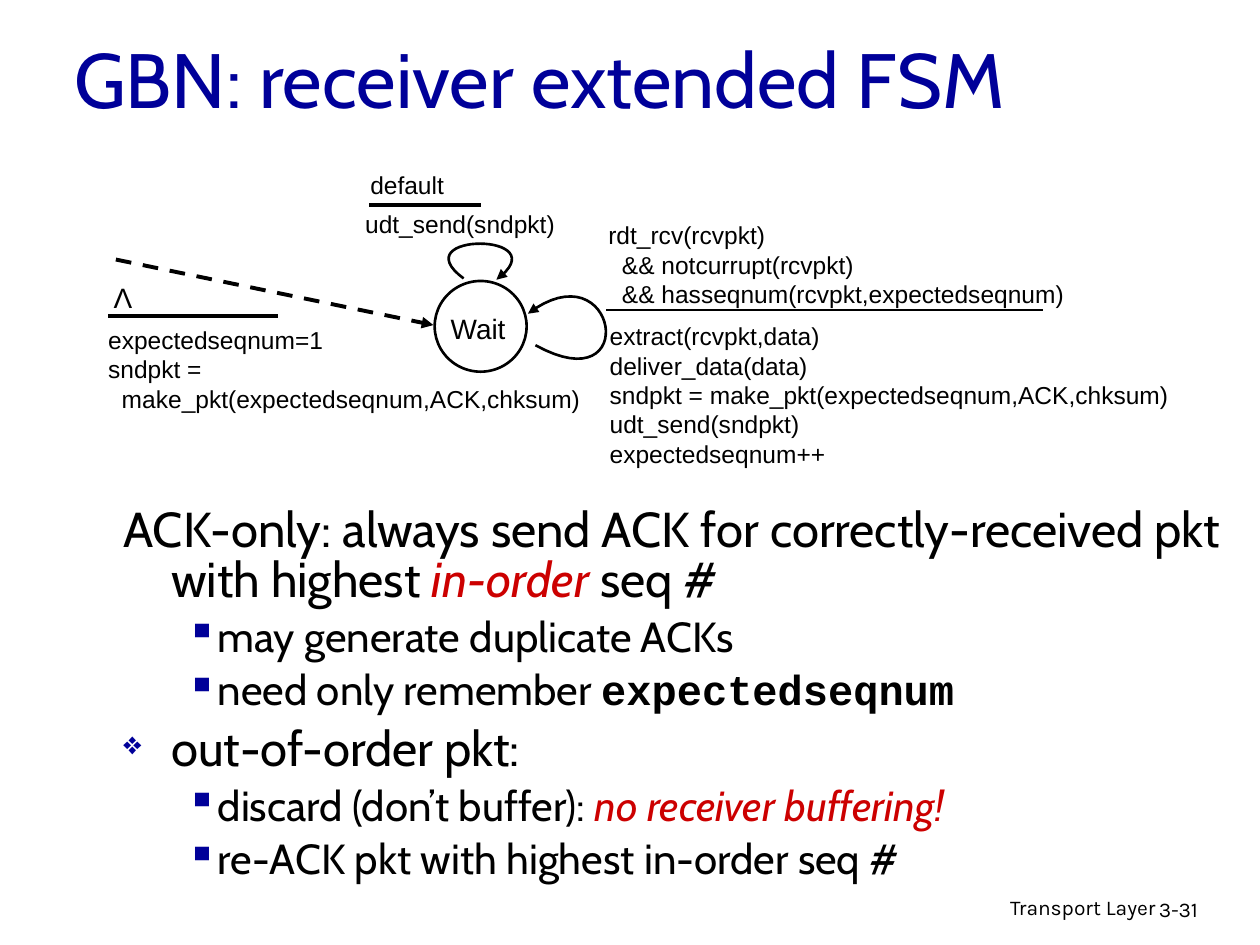
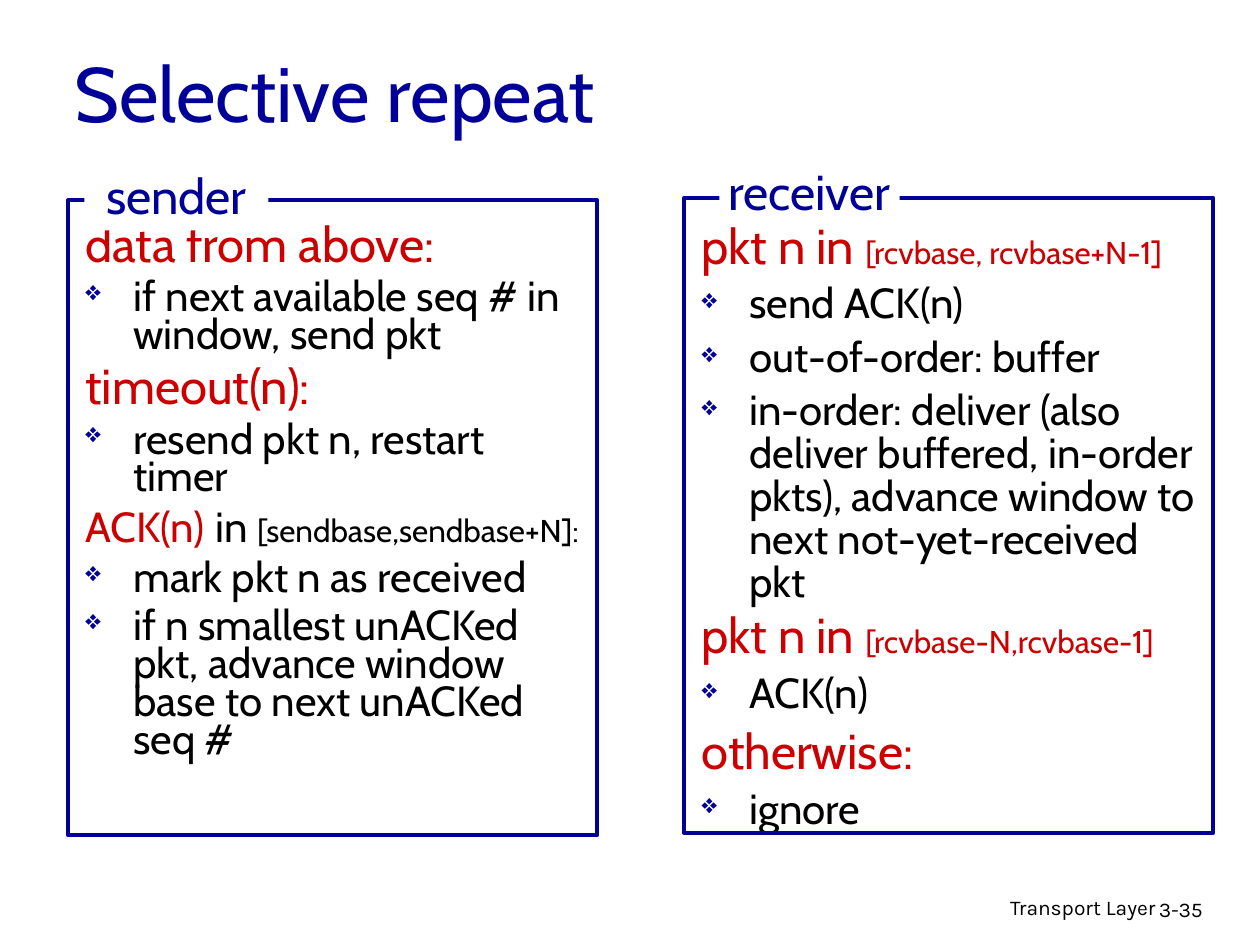
from lxml import etree
from pptx import Presentation
from pptx.dml.color import RGBColor
from pptx.enum import dml, shapes, text
from pptx.oxml.ns import qn
from pptx.util import Inches, Pt

NAVY = RGBColor(0x00, 0x00, 0x99)
RED = RGBColor(0xCC, 0x00, 0x00)
BLACK = RGBColor(0x00, 0x00, 0x00)
WHITE = RGBColor(0xFF, 0xFF, 0xFF)
BODY_FONT, LABEL_FONT, FOOTER_FONT, CODE_FONT = "Cabin", "Arial", "Karla", "Courier New"

# Paragraph styles: size, space before, left margin, hanging indent, bullet, bullet size %
STYLES = {
    "head": dict(size=28, before=7, margin=0.38, hang=0.38),
    "tight": dict(size=28, before=4.5, margin=0.38, hang=0.38),
    "diamond": dict(size=28, before=7, margin=0.38, hang=0.38, bullet="❖", percent=65),
    "item": dict(size=24, before=6, margin=0.38, hang=0.38, bullet="❖", percent=65),
    "square": dict(size=24, before=6, margin=0.75, hang=0.25, bullet="▪", percent=100),
}
EMPHASIS = dict(color=RED, italic=True)
RED_TEXT = dict(color=RED)
RED_RANGE = dict(color=RED, size=18)

# ---- Slide 1 content ----
GBN_TITLE = ("GBN: receiver extended FSM", (0.49, 0.23, 8.5, 0.77))
GBN_NOTES_BOX = (0.88, 3.98, 8.91, 3.12)
GBN_NOTES = [
    ("head", [("ACK-only: always send ACK for correctly-received pkt with highest ", {}),
              ("in-order", EMPHASIS), (" seq #", {})]),
    ("square", [("may generate duplicate ACKs", {})]),
    ("square", [("need only remember ", {}),
                ("expectedseqnum", dict(font=CODE_FONT, bold=True))]),
    ("diamond", [("out-of-order pkt:", {})]),
    ("square", [("discard (don’t buffer): ", {}), ("no receiver buffering!", EMPHASIS)]),
    ("square", [("re-ACK pkt with highest in-order seq #", {})]),
]
STATE_CIRCLE = (3.45, 2.23, 0.73, 0.72)
CENTERED_LABELS = [("Wait", (3.36, 2.42, 0.87, 0.26)), ("Λ", (0.8, 2.18, 0.35, 0.37))]
FSM_LABELS = [
    (["udt_send(sndpkt)"], (2.8, 1.61, 1.77, 0.34)),
    (["default"], (2.84, 1.3, 0.85, 0.27)),
    (["rdt_rcv(rcvpkt)", "  && notcurrupt(rcvpkt)",
      "  && hasseqnum(rcvpkt,expectedseqnum)"], (4.73, 1.7, 3.9, 0.62)),
    (["extract(rcvpkt,data)", "deliver_data(data)",
      "sndpkt = make_pkt(expectedseqnum,ACK,chksum)", "udt_send(sndpkt)",
      "expectedseqnum++"], (4.74, 2.5, 4.72, 0.94)),
    (["expectedseqnum=1", "sndpkt =", "  make_pkt(expectedseqnum,ACK,chksum)"],
     (0.76, 2.53, 3.98, 1.07)),
]
START_ARROW = ((0.92, 2.06), (3.44, 2.58))
EVENT_RULES = [  # left, right, y, width
    (2.93, 3.82, 1.63, 2.25),
    (4.81, 8.28, 2.46, 1.5),
    (0.86, 2.21, 2.51, 2.25),
]
SELF_LOOPS = [  # start, two control points, end
    ((4.25, 2.74), (5.1, 3.21), (4.9, 1.95), (4.19, 2.49)),
    ((3.68, 2.21), (3.18, 1.84), (4.45, 1.84), (3.94, 2.22)),
]

# ---- Slide 2 content ----
REPEAT_TITLE = ("Selective repeat", (0.49, 0.27, 8.5, 0.92))
PANEL_SIZE, PANEL_TEXT_SIZE = (4.2, 5.04), (4.17, 5.08)
PANELS = [
    dict(name="sender", label=(0.67, 1.26, 1.46, 0.57), frame=(0.54, 1.59),
         text=(0.58, 1.75), spacing=0.75, paragraphs=[
             ("head", [("data from above:", RED_TEXT)]),
             ("item", [("if next available seq # in window, send pkt", {})]),
             ("head", [("timeout(n):", RED_TEXT)]),
             ("item", [("resend pkt n, restart timer", {})]),
             ("tight", [("ACK(n)", dict(color=RED, size=24)), (" ", {}),
                        ("in ", dict(size=24)), ("[sendbase,sendbase+N]:", dict(size=18))]),
             ("item", [("mark pkt n as received", {})]),
             ("item", [("if n smallest unACKed pkt, advance window base "
                        "to next unACKed seq #", {})]),
         ]),
    dict(name="receiver", label=(5.71, 1.23, 1.43, 0.57), frame=(5.43, 1.57),
         text=(5.47, 1.73), spacing=0.85, paragraphs=[
             ("tight", [("pkt n in ", RED_TEXT), ("[rcvbase, rcvbase+N-1]", RED_RANGE)]),
             ("item", [("send ACK(n)", {})]),
             ("item", [("out-of-order: buffer", {})]),
             ("item", [("in-order: deliver (also deliver buffered, in-order pkts), "
                        "advance window to next not-yet-received pkt", {})]),
             ("tight", [("pkt n in ", RED_TEXT), ("[rcvbase-N,rcvbase-1]", RED_RANGE)]),
             ("item", [("ACK(n)", {})]),
             ("head", [("otherwise:", RED_TEXT)]),
             ("item", [("ignore", {})]),
         ]),
]


# ---- Text helpers ----
def format_font(font, name, size, color=BLACK, bold=False, italic=False):
    font.name, font.size, font.bold, font.italic = name, Pt(size), bold, italic
    font.color.rgb = color


def add_label(slide, lines, box, name, size, color=BLACK, align=text.PP_ALIGN.LEFT,
              anchor=text.MSO_ANCHOR.TOP):
    frame = slide.shapes.add_textbox(*map(Inches, box)).text_frame
    frame.word_wrap = True
    frame.vertical_anchor = anchor
    frame.text = "\n".join(lines)
    for paragraph in frame.paragraphs:
        paragraph.alignment = align
        for run in paragraph.runs:
            format_font(run.font, name, size, color)
    return frame


def add_bullet(properties, character, percent):
    color = etree.SubElement(properties, qn("a:buClr"))
    etree.SubElement(color, qn("a:srgbClr"), val=str(NAVY))
    etree.SubElement(properties, qn("a:buSzPct"), val=str(percent * 1000))
    etree.SubElement(properties, qn("a:buChar"), char=character)


def add_outline(slide, paragraphs, box, spacing):
    frame = slide.shapes.add_textbox(*map(Inches, box)).text_frame
    frame.word_wrap = True
    for index, (style_name, runs) in enumerate(paragraphs):
        style = STYLES[style_name]
        paragraph = frame.add_paragraph() if index else frame.paragraphs[0]
        properties = paragraph._p.get_or_add_pPr()
        properties.set("marL", str(Inches(style["margin"])))
        properties.set("indent", str(-Inches(style["hang"])))
        if "bullet" in style:
            add_bullet(properties, style["bullet"], style["percent"])
        paragraph.line_spacing = spacing
        paragraph.space_before = Pt(style["before"] if index else 0)
        for words, changes in runs:
            run = paragraph.add_run()
            run.text = words
            look = dict(name=BODY_FONT, size=style["size"])
            look.update(changes)
            look["name"] = look.pop("font", look["name"])
            format_font(run.font, **look)


# ---- Line helpers ----
def add_arrowhead(shape):
    etree.SubElement(shape.line._get_or_add_ln(), qn("a:tailEnd"), type="triangle")


def add_line(slide, start, end, width):
    line = slide.shapes.add_connector(shapes.MSO_CONNECTOR.STRAIGHT,
                                      *map(Inches, start + end))
    line.line.color.rgb = BLACK
    line.line.width = Pt(width)
    etree.SubElement(line._element.spPr, qn("a:effectLst"))
    return line


def curve_points(start, first, second, end, steps=32):
    for step in range(steps + 1):
        t = step / steps
        weights = ((1 - t) ** 3, 3 * t * (1 - t) ** 2, 3 * t * t * (1 - t), t ** 3)
        yield tuple(Inches(sum(w * p[axis] for w, p in
                               zip(weights, (start, first, second, end))))
                    for axis in (0, 1))


def add_loop(slide, curve):
    points = list(curve_points(*curve))
    builder = slide.shapes.build_freeform(*points[0])
    builder.add_line_segments(points[1:], close=False)
    loop = builder.convert_to_shape()
    loop.shadow.inherit = False
    loop.fill.background()
    loop.line.color.rgb = BLACK
    loop.line.width = Pt(1.5)
    add_arrowhead(loop)


def add_plain_shape(slide, preset, box, fill=None, line=None, width=0):
    shape = slide.shapes.add_shape(preset, *map(Inches, box))
    shape.shadow.inherit = False
    if fill is None:
        shape.fill.background()
    else:
        shape.fill.solid()
        shape.fill.fore_color.rgb = fill
    if line is None:
        shape.line.fill.background()
    else:
        shape.line.color.rgb = line
        shape.line.width = Pt(width)
    return shape


# ---- Slides ----
def add_slide(presentation, title, number):
    slide = presentation.slides.add_slide(presentation.slide_layouts[6])
    footer = add_label(slide, ["Transport Layer"], (6.1, 7.05, 3.17, 0.31),
                       FOOTER_FONT, 12, align=text.PP_ALIGN.RIGHT)
    footer.paragraphs[0].runs[0].font.size = Pt(12)
    add_label(slide, [number], (9.1, 7.07, 0.74, 0.3), FOOTER_FONT, 12)
    words, box = title
    add_label(slide, [words], box, BODY_FONT, 44, NAVY, anchor=text.MSO_ANCHOR.MIDDLE)
    return slide


def build_receiver_fsm(presentation):
    slide = add_slide(presentation, GBN_TITLE, "3-31")
    add_outline(slide, GBN_NOTES, GBN_NOTES_BOX, 0.85)
    # State and transitions
    add_plain_shape(slide, shapes.MSO_SHAPE.OVAL, STATE_CIRCLE, WHITE, BLACK, 1.5)
    start_arrow = add_line(slide, *START_ARROW, 2.25)
    start_arrow.line.dash_style = dml.MSO_LINE.DASH
    add_arrowhead(start_arrow)
    for left, right, y, width in EVENT_RULES:
        add_line(slide, (left, y), (right, y), width)
    for curve in SELF_LOOPS:
        add_loop(slide, curve)
    # Events and actions
    for lines, box in FSM_LABELS:
        add_label(slide, lines, box, LABEL_FONT, 14)
    for words, box in CENTERED_LABELS:
        add_label(slide, [words], box, LABEL_FONT, 16, align=text.PP_ALIGN.CENTER)


def build_selective_repeat(presentation):
    slide = add_slide(presentation, REPEAT_TITLE, "3-35")
    for panel in PANELS:
        add_outline(slide, panel["paragraphs"], panel["text"] + PANEL_TEXT_SIZE,
                    panel["spacing"])
        add_plain_shape(slide, shapes.MSO_SHAPE.RECTANGLE, panel["frame"] + PANEL_SIZE,
                        line=NAVY, width=2.25)
        # The white label interrupts the frame's top edge
        label = add_plain_shape(slide, shapes.MSO_SHAPE.RECTANGLE, panel["label"], WHITE)
        frame = label.text_frame
        frame.word_wrap = False
        frame.text = panel["name"]
        frame.paragraphs[0].alignment = text.PP_ALIGN.CENTER
        format_font(frame.paragraphs[0].runs[0].font, BODY_FONT, 28, NAVY)


def main():
    presentation = Presentation()
    presentation.slide_width, presentation.slide_height = Inches(10), Inches(7.5)
    build_receiver_fsm(presentation)
    build_selective_repeat(presentation)
    presentation.save("out.pptx")


if __name__ == "__main__":
    main()
